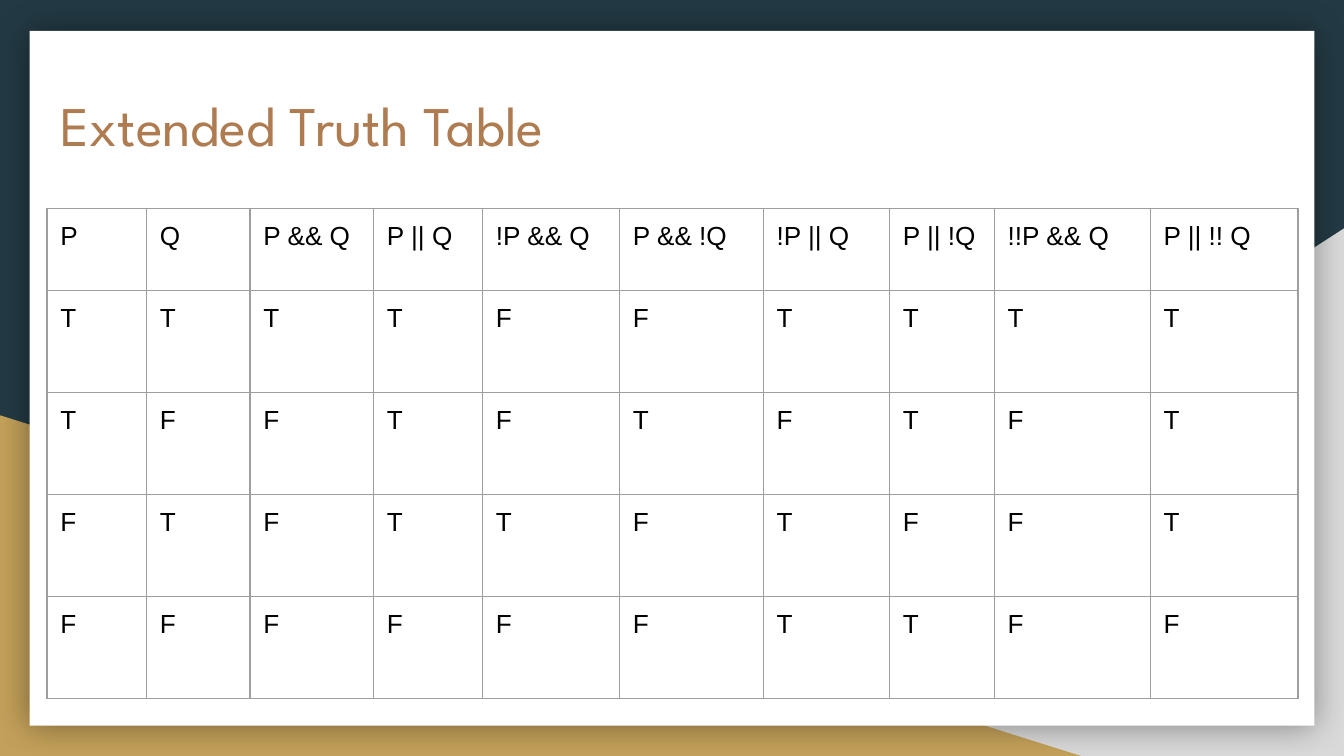
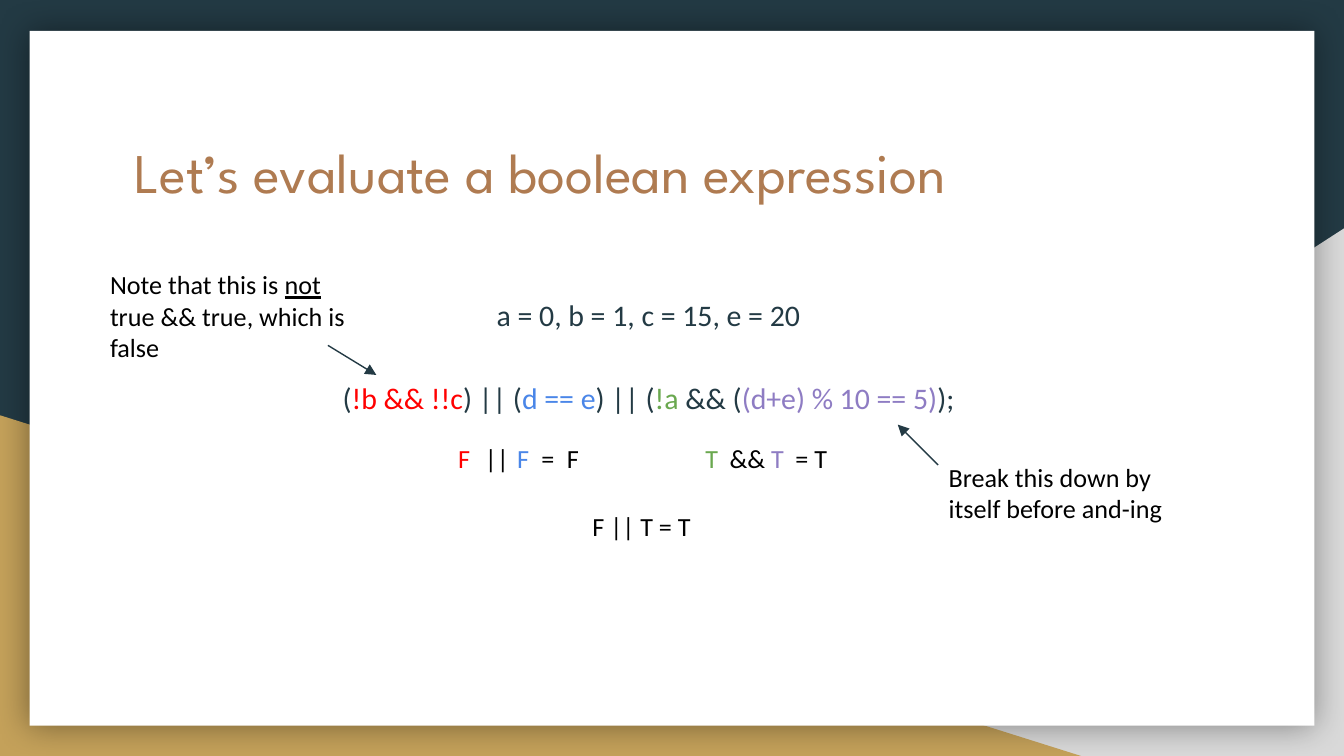
from dataclasses import dataclass

from lxml import etree
from pptx import Presentation
from pptx.dml.color import RGBColor
from pptx.enum.shapes import MSO_CONNECTOR, MSO_SHAPE
from pptx.enum.text import MSO_ANCHOR, MSO_AUTO_SIZE, PP_ALIGN
from pptx.oxml.ns import qn
from pptx.util import Inches, Pt

# Shared look
NAVY, GOLD, GREY, WHITE, BLACK = "233A44", "C4A15A", "D9D9D9", "FFFFFF", "000000"
COPPER, BORDER = "AF7B51", "9E9E9E"
RED, BLUE, GREEN, PURPLE = "FF0000", "4A86E8", "6AA84F", "8E7CC3"
TITLE_FONT, BODY_FONT, TABLE_FONT = "League Spartan", "Calibri", "Arial"
INSET = Inches(0.1)
TITLE_ONLY, TITLE_AND_BODY = 5, 1
RECT, TRIANGLE = MSO_SHAPE.RECTANGLE, MSO_SHAPE.RIGHT_TRIANGLE
STRAIGHT = MSO_CONNECTOR.STRAIGHT
LEFT, CENTER = PP_ALIGN.LEFT, PP_ALIGN.CENTER
TOP = MSO_ANCHOR.TOP
FIXED, GROW = MSO_AUTO_SIZE.NONE, MSO_AUTO_SIZE.SHAPE_TO_FIT_TEXT


@dataclass(frozen=True)
class Box:
    left: float
    top: float
    width: float
    height: float

    def lengths(self) -> tuple:
        return tuple(Inches(v) for v in (self.left, self.top, self.width, self.height))


@dataclass(frozen=True)
class Panel:
    preset: MSO_SHAPE
    box: Box
    color: str
    flip: bool = False
    shadow: bool = False


@dataclass(frozen=True)
class Run:
    text: str
    color: str = BLACK
    underline: bool = False


@dataclass(frozen=True)
class Label:
    box: Box
    runs: tuple
    tabs: tuple = ()


@dataclass(frozen=True)
class Arrow:
    start: tuple
    end: tuple


BACKDROP = (
    Panel(TRIANGLE, Box(3.92, 1.7, 6.08, 3.93), GREY, flip=True),
    Panel(TRIANGLE, Box(0, 3.09, 8.06, 2.54), GOLD),
    Panel(RECT, Box(0.22, 0.23, 9.56, 5.17), WHITE, shadow=True),
)

# Truth table content
HEADINGS = ("P", "Q", "P && Q", "P || Q", "!P && Q", "P && !Q",
            "!P || Q", "P || !Q", "!!P && Q", "P || !! Q")
TRUTH_ROWS = ("TTTTFFTTTT", "TFFTFTFTFT", "FTFTTFTFFT", "FFFFFFTTFF")
COLUMN_WIDTHS = (0.74, 0.77, 0.92, 0.81, 1.02, 1.07, 0.94, 0.78, 1.16, 1.1)
HEADING_HEIGHT, ROW_HEIGHT = 0.61, 0.76

# Boolean expression content
VALUES = (Run("a = 0, b = 1, c = 15, e = 20", NAVY),)
EXPRESSION = (
    Run("(", NAVY), Run("!b && !!c", RED), Run(") || (", NAVY), Run("d == e", BLUE),
    Run(") || (", NAVY), Run("!a", GREEN), Run(" && (", NAVY),
    Run("(d+e) % 10 == 5)", PURPLE), Run(");", NAVY),
)
LABELS = (
    Label(Box(3.31, 3.19, 5.93, 0.44),
          (Run("F", RED), Run("\t||\t"), Run("F", BLUE), Run("\t=\tF\t"),
           Run("T", GREEN), Run("\t&& "), Run("T", PURPLE), Run("\t= T")),
          tabs=(0.2, 0.44, 0.62, 0.81, 1.84, 2.02, 2.51)),
    Label(Box(4.31, 3.7, 3.04, 0.44), (Run("F || T = T"),)),
    Label(Box(0.72, 1.9, 2.08, 0.91),
          (Run("Note that this is "), Run("not", underline=True),
           Run(" true && true, which is false"))),
    Label(Box(6.96, 3.33, 1.97, 0.67),
          (Run("Break this down by itself before and-ing"),)),
)
ARROWS = (Arrow((2.44, 2.57), (2.8, 2.79)), Arrow((6.98, 3.46), (6.68, 3.16)))


def rgb(color: str) -> RGBColor:
    return RGBColor.from_string(color)


def add_xml(parent, tag: str, **attrs):
    child = etree.SubElement(parent, qn(tag))
    for name, value in attrs.items():
        child.set(name, str(value))
    return child


def add_text(p, text: str, *, size: float = 14, font: str = BODY_FONT,
             color: str = BLACK, underline: bool = False) -> None:
    r = p.add_run()
    r.text = text
    r.font.size = Pt(size)
    r.font.name = font
    r.font.color.rgb = rgb(color)
    if underline:
        r.font.underline = True


def add_runs(p, runs: tuple, size: float = 14) -> None:
    for run in runs:
        add_text(p, run.text, size=size, color=run.color, underline=run.underline)


def format_frame(tf, auto_size: MSO_AUTO_SIZE) -> None:
    tf.word_wrap = True
    tf.auto_size = auto_size
    tf.vertical_anchor = TOP
    tf.margin_left = tf.margin_right = tf.margin_top = tf.margin_bottom = INSET


def place(sp, box: Box) -> None:
    sp.left, sp.top, sp.width, sp.height = box.lengths()


def add_backdrop(prs, slide) -> None:
    """Build the panels once and move them to the back of the slide master."""
    master = prs.slide_master
    master.background.fill.solid()
    master.background.fill.fore_color.rgb = rgb(NAVY)
    for i, panel in enumerate(BACKDROP):
        sp = slide.shapes.add_shape(panel.preset, *panel.box.lengths())
        sp.shadow.inherit = False
        sp.fill.solid()
        sp.fill.fore_color.rgb = rgb(panel.color)
        sp.line.fill.background()
        props = sp.element.find(qn("p:spPr"))
        if panel.flip:
            props.find(qn("a:xfrm")).set("flipH", "1")
        if panel.shadow:
            shadow = add_xml(props.find(qn("a:effectLst")), "a:outerShdw",
                             blurRad=Pt(18), dist=0, dir=0, algn="ctr", rotWithShape=0)
            add_xml(add_xml(shadow, "a:srgbClr", val=BLACK), "a:alpha", val=40000)
        sp.element.find(".//" + qn("p:cNvPr")).set("id", str(100 + i))
        master.shapes.element.insert(2 + i, sp.element)


def set_title(slide, text: str, box: Box) -> None:
    sp = slide.shapes.title
    place(sp, box)
    format_frame(sp.text_frame, FIXED)
    p = sp.text_frame.paragraphs[0]
    p.alignment = LEFT
    add_text(p, text, size=30, font=TITLE_FONT, color=COPPER)


def set_body(slide, lines: tuple, box: Box, size: float, gap: float) -> None:
    sp = slide.placeholders[1]
    place(sp, box)
    tf = sp.text_frame
    format_frame(tf, FIXED)
    for i, runs in enumerate(lines):
        p = tf.add_paragraph() if i else tf.paragraphs[0]
        p.alignment = CENTER
        p.line_spacing = 1.15
        p.space_before = Pt(gap if i else 0)
        props = p._p.get_or_add_pPr()
        props.set("marL", "0")
        props.set("indent", "0")
        add_xml(props, "a:buNone")
        add_runs(p, runs, size)


def add_label(slide, label: Label) -> None:
    tf = slide.shapes.add_textbox(*label.box.lengths()).text_frame
    format_frame(tf, GROW)
    p = tf.paragraphs[0]
    if label.tabs:
        stops = add_xml(p._p.get_or_add_pPr(), "a:tabLst")
        for stop in label.tabs:
            add_xml(stops, "a:tab", pos=Inches(stop), algn="l")
    add_runs(p, label.runs)


def add_arrow(slide, arrow: Arrow) -> None:
    ends = [Inches(v) for v in arrow.start + arrow.end]
    cxn = slide.shapes.add_connector(STRAIGHT, *ends)
    cxn.line.color.rgb = rgb(NAVY)
    cxn.line.width = Pt(0.75)
    add_xml(cxn.line._get_or_add_ln(), "a:tailEnd", type="triangle")
    add_xml(cxn.element.find(qn("p:spPr")), "a:effectLst")


def format_cell(cell, text: str) -> None:
    cell.margin_left = cell.margin_right = cell.margin_top = cell.margin_bottom = INSET
    cell.vertical_anchor = TOP
    add_text(cell.text_frame.paragraphs[0], text, font=TABLE_FONT)
    props = cell._tc.get_or_add_tcPr()
    for side in ("a:lnL", "a:lnR", "a:lnT", "a:lnB"):
        ln = add_xml(props, side, w=Pt(0.75))
        add_xml(add_xml(ln, "a:solidFill"), "a:srgbClr", val=BORDER)
    cell.fill.background()


def add_truth_table(slide, left: float, top: float) -> None:
    rows = (HEADINGS, *TRUTH_ROWS)
    heights = [HEADING_HEIGHT] + [ROW_HEIGHT] * len(TRUTH_ROWS)
    box = Box(left, top, sum(COLUMN_WIDTHS), sum(heights))
    table = slide.shapes.add_table(len(rows), len(HEADINGS), *box.lengths()).table
    table.first_row = table.horz_banding = False
    for column, width in zip(table.columns, COLUMN_WIDTHS):
        column.width = Inches(width)
    for row, height, texts in zip(table.rows, heights, rows):
        row.height = Inches(height)
        for cell, text in zip(row.cells, texts):
            format_cell(cell, text)


def main() -> None:
    prs = Presentation()
    prs.slide_width, prs.slide_height = Inches(10), Inches(5.625)

    # Slide 1: truth table
    slide = prs.slides.add_slide(prs.slide_layouts[TITLE_ONLY])
    add_backdrop(prs, slide)
    set_title(slide, "Extended Truth Table", Box(0.35, 0.57, 7.67, 0.71))
    add_truth_table(slide, 0.35, 1.55)

    # Slide 2: boolean expression
    slide = prs.slides.add_slide(prs.slide_layouts[TITLE_AND_BODY])
    set_title(slide, "Let’s evaluate a boolean expression", Box(0.9, 0.92, 8.21, 1.04))
    set_body(slide, (VALUES, EXPRESSION), Box(0.72, 2.07, 8.21, 2.68), size=16, gap=22)
    for label in LABELS:
        add_label(slide, label)
    for arrow in ARROWS:
        add_arrow(slide, arrow)

    prs.save("out.pptx")


if __name__ == "__main__":
    main()
